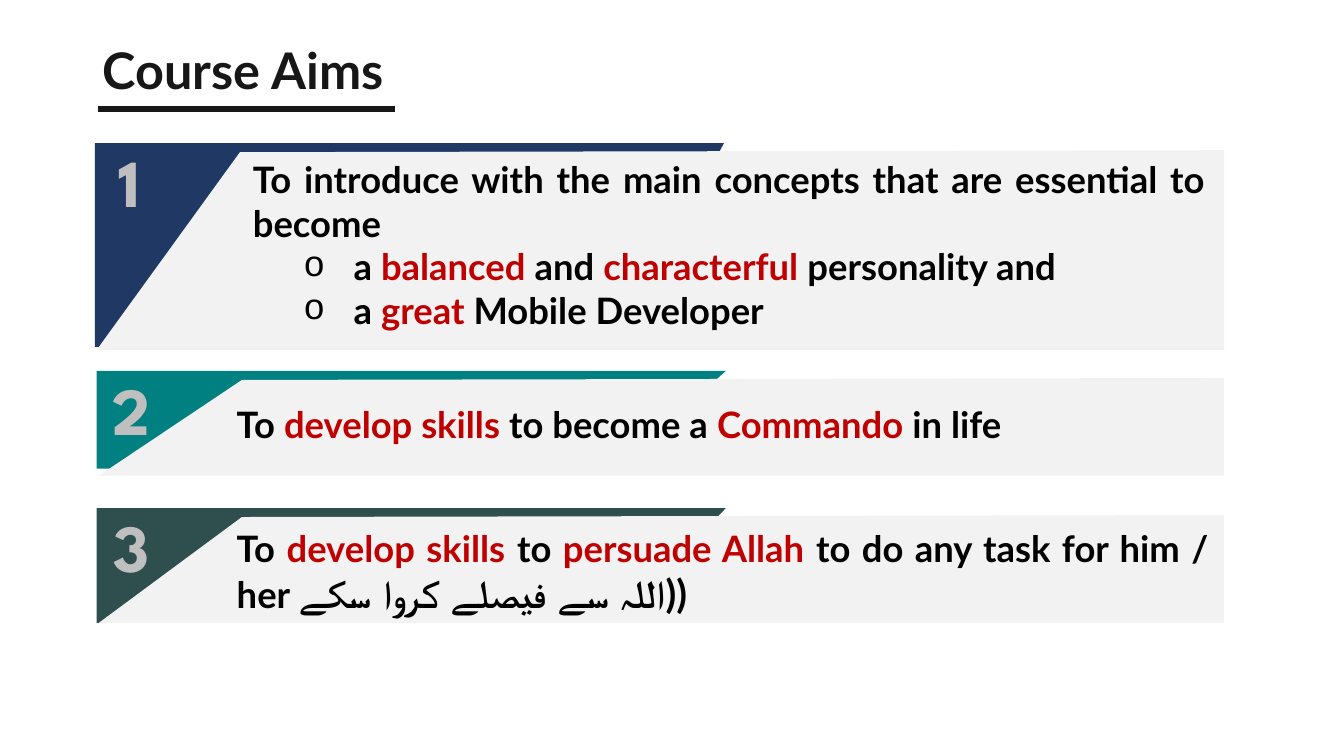
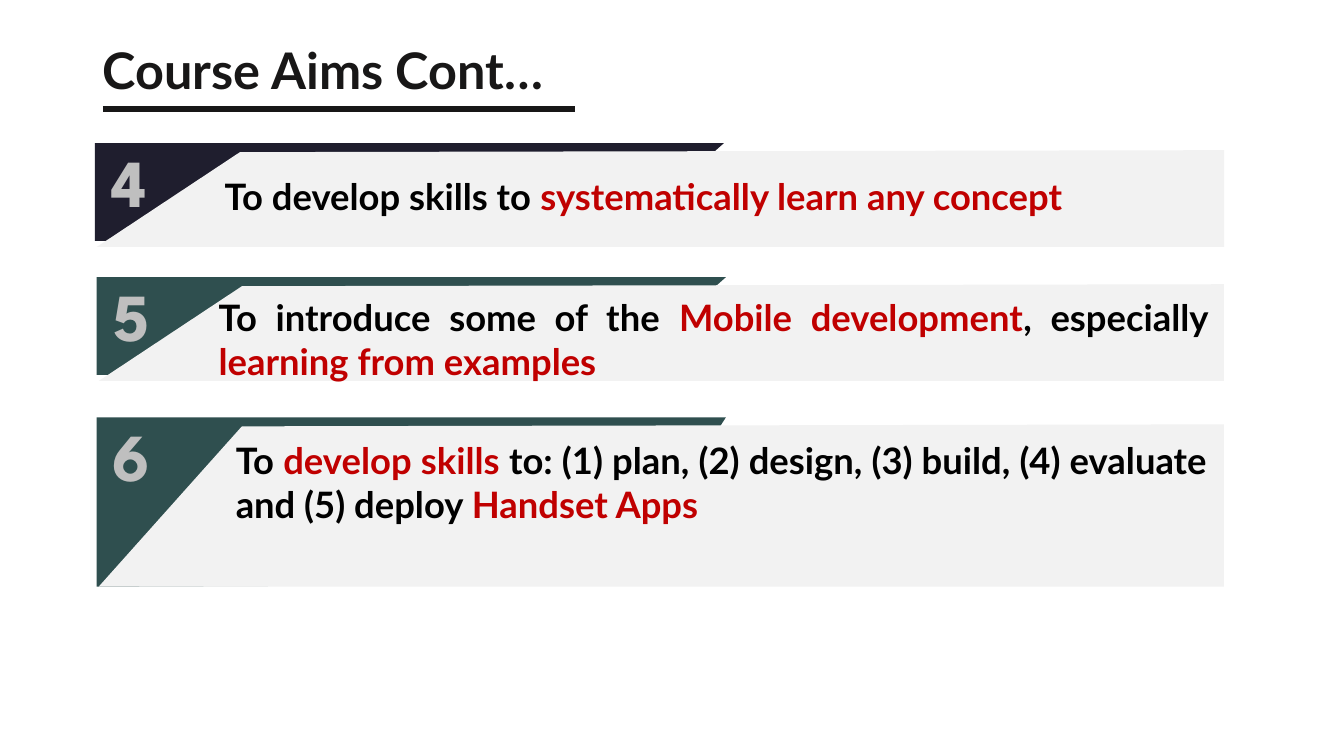
from lxml.etree import SubElement
from pptx import Presentation
from pptx.dml.color import RGBColor
from pptx.enum.shapes import MSO_CONNECTOR
from pptx.enum.text import MSO_ANCHOR, MSO_AUTO_SIZE, PP_ALIGN
from pptx.oxml.ns import qn
from pptx.util import Inches, Pt

INK = RGBColor(0x18, 0x17, 0x17)
BLACK = RGBColor(0, 0, 0)
RED = RGBColor(0xC0, 0, 0)
GREY = RGBColor(0xBF, 0xBF, 0xBF)
PALE = RGBColor(0xF2, 0xF2, 0xF2)
NAVY = RGBColor(0x20, 0x38, 0x64)
TEAL = RGBColor(0, 0x80, 0x80)
SLATE = RGBColor(0x2F, 0x4F, 0x4F)
NIGHT = RGBColor(0x1F, 0x1E, 0x2E)

FONT = "Lato"
URDU = "اللہ سے فیصلے کروا سکے))"
RIGHT = 12.14  # right edge of the panels

# Title, rule ends, then the aims:
# colour, left, top, band bottom, panel bottom, text box, lines.
# Text between bars is red; a leading "o " marks a bullet.
SLIDES = [
    ("Course Aims", 0.97, 3.92, [
        (NAVY, 0.94, 1.42, 3.44, 3.47, (2.41, 1.51, 9.65, 1.85), [
            "To introduce with the main concepts that are essential to become ",
            "o a |balanced| and |characterful| personality and ",
            "o a |great| Mobile Developer"]),
        (TEAL, 0.96, 3.68, 4.65, 4.72, (2.25, 3.94, 9.03, 0.54), [
            "To |develop skills |to become a |Commando| in life "]),
        (SLATE, 0.96, 5.04, 6.18, 6.18, (2.25, 5.17, 9.84, 1.01), [
            "To |develop skills |to |persuade Allah| to do any task"
            " for him / her ||" + URDU]),
    ]),
    ("Course Aims Cont…", 1.02, 5.7, [
        (NIGHT, 0.94, 1.42, 2.39, 2.45, (2.13, 1.68, 9.92, 0.54), [
            "To develop skills to |systematically learn any concept"]),
        (SLATE, 0.96, 2.75, 3.72, 3.78, (2.07, 2.88, 10.01, 0.98), [
            "To introduce some of the |Mobile development|, especially "
            "|learning from examples "]),
        (SLATE, 0.96, 4.14, 5.82, 5.82, (2.24, 4.3, 9.84, 0.98), [
            "To |develop skills |to: (1) plan, (2) design, (3) build, "
            "(4) evaluate and (5) deploy |Handset Apps"]),
    ]),
]


def add_shape(group, points, color):
    """Draw a closed outline, given in inches, with a plain fill."""
    pts = [(Inches(x), Inches(y)) for x, y in points]
    pen = group.shapes.build_freeform(*pts[0])
    pen.add_line_segments(pts[1:], close=True)
    shape = pen.convert_to_shape()
    shape.fill.solid()
    shape.fill.fore_color.rgb = color
    shape.line.fill.background()
    shape.shadow.inherit = False


def add_text(group, box, lines, font, size, align, colors):
    """Add a text box whose runs, split at bars, take the colours in turn."""
    area = group.shapes.add_textbox(*map(Inches, box))
    frame = area.text_frame
    frame.word_wrap = True
    frame.auto_size = MSO_AUTO_SIZE.SHAPE_TO_FIT_TEXT
    for row, line in enumerate(lines):
        para = frame.add_paragraph() if row else frame.paragraphs[0]
        para.alignment = align
        para.font.name, para.font.size, para.font.bold = font, Pt(size), True
        if line.startswith("o "):
            line = line[2:]
            para.level = 1
            props = para._p.get_or_add_pPr()
            props.set("marL", str(Inches(1)))
            props.set("indent", str(Inches(-0.5)))
            mark = SubElement(props, qn("a:buFont"))
            mark.set("typeface", "Courier New")
            sign = SubElement(props, qn("a:buChar"))
            sign.set("char", "o")
            props.append(props.find(qn("a:defRPr")))  # must follow the bullet
        for i, part in enumerate(line.split("|")):
            if part:
                run = para.add_run()
                run.text = part
                run.font.color.rgb = colors[i % len(colors)]
                if part == URDU:
                    run.font.size = Pt(28)
    return frame


deck = Presentation()
deck.slide_width, deck.slide_height = Inches(13.33), Inches(7.5)
count = 0

for name, start, end, aims in SLIDES:
    slide = deck.slides.add_slide(deck.slide_layouts[5])

    # Title
    title = slide.shapes.title
    title.left, title.top = Inches(0.92), Inches(0)
    title.width, title.height = Inches(11.5), Inches(1.45)
    title.text_frame.text = name
    title.text_frame.vertical_anchor = MSO_ANCHOR.MIDDLE
    title.text_frame.auto_size = MSO_AUTO_SIZE.NONE
    head = title.text_frame.paragraphs[0]
    head.alignment = PP_ALIGN.LEFT
    head.line_spacing = 0.9
    head.font.name, head.font.size, head.font.bold = FONT, Pt(36), True
    head.font.color.rgb = INK

    # Rule under the title
    rule = slide.shapes.add_connector(
        MSO_CONNECTOR.STRAIGHT, Inches(start), Inches(1.08),
        Inches(end), Inches(1.08))
    rule.line.color.rgb = INK
    rule.line.width = Pt(4.5)
    SubElement(rule._element.spPr, qn("a:effectLst"))

    # Aims: coloured band, pale panel over it, text and number
    for color, left, top, low, base, box, lines in aims:
        count += 1
        group = slide.shapes.add_group_shape()
        add_shape(group, [(left, top), (left + 6.24, top),
                          (left + 5.17, low - 0.02), (left, low)], color)
        add_shape(group, [(RIGHT, base), (left + 0.02, base),
                          (left + 1.44, top + 0.09), (RIGHT, top + 0.07)], PALE)
        add_text(group, box, lines, FONT, 26, PP_ALIGN.JUSTIFY, [BLACK, RED])
        label = add_text(group, (left + 0.02, top - 0.05, 0.65, 0.86),
                         [str(count)], "League Spartan", 48,
                         PP_ALIGN.CENTER, [GREY])
        label.margin_left = label.margin_right = Inches(0.05)
        label.margin_top = label.margin_bottom = Inches(0.02)

deck.save("out.pptx")
